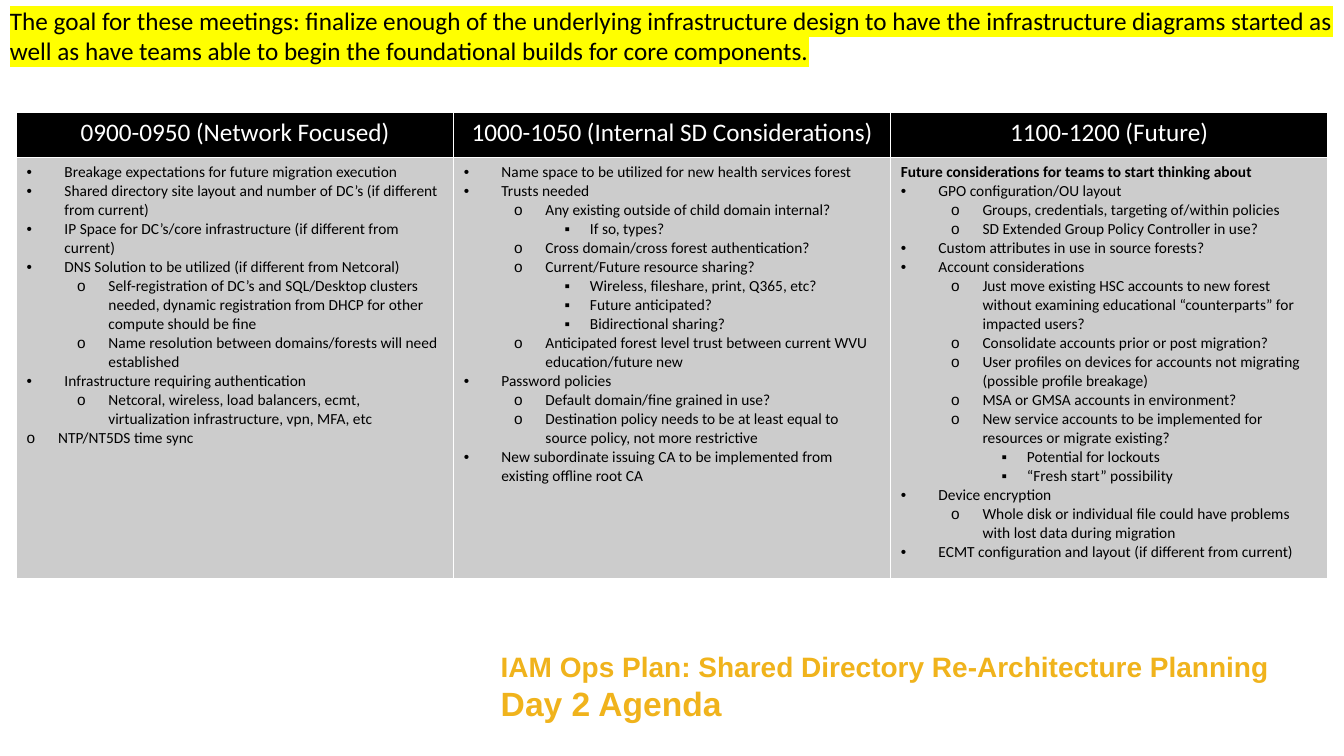
from lxml.etree import SubElement
from pptx import Presentation
from pptx.dml.color import RGBColor
from pptx.enum.text import MSO_ANCHOR, PP_ALIGN
from pptx.oxml.ns import qn
from pptx.util import Cm, Pt

GOAL = ("The goal for these meetings: finalize enough of the underlying infrastructure design "
        "to have the infrastructure diagrams started as well as have teams able to begin the "
        "foundational builds for core components.")
TITLE = [("IAM Ops Plan: Shared Directory Re-Architecture Planning", 20),
         ("Day 2 Agenda", 24)]

BULLETS = {
    "main": (0, 0.95, 0.95, "•"),
    "sub": (1, 2.06, 0.79, "o"),
    "detail": (2, 3.18, 0.64, "▪"),
    "loose": (0, 0.79, 0.79, "o"),
}

SESSIONS = [
    ("0900-0950 (Network Focused)", [
        ("main", "Breakage expectations for future migration execution"),
        ("main", "Shared directory site layout and number of DC’s (if different from current)"),
        ("main", "IP Space for DC’s/core infrastructure (if different from current)"),
        ("main", "DNS Solution to be utilized (if different from Netcoral)"),
        ("sub", "Self-registration of DC’s and SQL/Desktop clusters needed, dynamic "
                "registration from DHCP for other compute should be fine"),
        ("sub", "Name resolution between domains/forests will need established"),
        ("main", "Infrastructure requiring authentication"),
        ("sub", "Netcoral, wireless, load balancers, ecmt, virtualization infrastructure, "
                "vpn, MFA, etc"),
        ("loose", "NTP/NT5DS time sync"),
    ]),
    ("1000-1050 (Internal SD Considerations)", [
        ("main", "Name space to be utilized for new health services forest"),
        ("main", "Trusts needed"),
        ("sub", "Any existing outside of child domain internal?"),
        ("detail", "If so, types?"),
        ("sub", "Cross domain/cross forest authentication?"),
        ("sub", "Current/Future resource sharing?"),
        ("detail", "Wireless, fileshare, print, Q365, etc?"),
        ("detail", "Future anticipated?"),
        ("detail", "Bidirectional sharing?"),
        ("sub", "Anticipated forest level trust between current WVU education/future new"),
        ("main", "Password policies"),
        ("sub", "Default domain/fine grained in use?"),
        ("sub", "Destination policy needs to be at least equal to source policy, "
                "not more restrictive"),
        ("main", "New subordinate issuing CA to be implemented from existing offline root CA"),
    ]),
    ("1100-1200 (Future)", [
        ("heading", "Future considerations for teams to start thinking about"),
        ("main", "GPO configuration/OU layout"),
        ("sub", "Groups, credentials, targeting of/within policies"),
        ("sub", "SD Extended Group Policy Controller in use?"),
        ("main", "Custom attributes in use in source forests?"),
        ("main", "Account considerations"),
        ("sub", "Just move existing HSC accounts to new forest without examining educational "
                "“counterparts” for impacted users?"),
        ("sub", "Consolidate accounts prior or post migration?"),
        ("sub", "User profiles on devices for accounts not migrating "
                "(possible profile breakage)"),
        ("sub", "MSA or GMSA accounts in environment?"),
        ("sub", "New service accounts to be implemented for resources or migrate existing?"),
        ("detail", "Potential for lockouts"),
        ("detail", "“Fresh start” possibility"),
        ("main", "Device encryption"),
        ("sub", "Whole disk or individual file could have problems with lost data "
                "during migration"),
        ("main", "ECMT configuration and layout (if different from current)"),
    ]),
]


def rgb(color):
    return RGBColor.from_string(color)


def add_solid(parent, color):
    SubElement(SubElement(parent, qn("a:solidFill")), qn("a:srgbClr"), val=color)


def write(p, text, size, color, font="Calibri", bold=False):
    p.text = text
    r = p.runs[0]
    r.font.size = Pt(size)
    r.font.name = font
    r.font.bold = bold
    r.font.color.rgb = rgb(color)
    return r


def set_bullet(p, kind):
    level, left, hanging, char = BULLETS[kind]
    p.level = level
    pPr = p._p.get_or_add_pPr()
    pPr.set("marL", str(Cm(left)))
    pPr.set("indent", str(-Cm(hanging)))
    SubElement(pPr, qn("a:buFont"), typeface="Arial")
    SubElement(pPr, qn("a:buChar"), char=char)


def set_cell(cell, fill):
    tcPr = cell._tc.get_or_add_tcPr()
    for side in ("lnL", "lnR", "lnT", "lnB"):
        add_solid(SubElement(tcPr, qn("a:" + side), w=str(Pt(1))), "FFFFFF")
    cell.fill.solid()
    cell.fill.fore_color.rgb = rgb(fill)


def add_textbox(s, left, top, width, height):
    tf = s.shapes.add_textbox(left, top, width, height).text_frame
    tf.word_wrap = True
    return tf


def add_goal(s, left, top, width, height):
    tf = add_textbox(s, left, top, width, height)
    r = write(tf.paragraphs[0], GOAL, 18, "000000")
    rPr = r._r.get_or_add_rPr()
    highlight = SubElement(rPr, qn("a:highlight"))
    SubElement(highlight, qn("a:srgbClr"), val="FFFF00")
    rPr.find(qn("a:latin")).addprevious(highlight)


def add_title(s, left, top, width, height):
    tf = add_textbox(s, left, top, width, height)
    for i, (text, size) in enumerate(TITLE):
        p = tf.add_paragraph() if i else tf.paragraphs[0]
        r = write(p, text, size, "F0B31C", "Arial", True)
        rPr = r._r.get_or_add_rPr()
        outline = SubElement(rPr, qn("a:ln"), w=str(Pt(0.75)))
        add_solid(outline, "000000")
        rPr.insert(0, outline)


def add_agenda(s, left, top, width, height):
    header_height = Cm(1.14)
    table = s.shapes.add_table(2, len(SESSIONS), left, top, width, height).table
    table.rows[0].height = header_height
    table.rows[1].height = height - header_height
    for col, (heading, items) in enumerate(SESSIONS):
        header, body = table.cell(0, col), table.cell(1, col)
        set_cell(header, "000000")
        set_cell(body, "CCCCCC")
        header.vertical_anchor = MSO_ANCHOR.TOP
        p = header.text_frame.paragraphs[0]
        p.alignment = PP_ALIGN.CENTER
        write(p, heading, 18, "FFFFFF")
        tf = body.text_frame
        for i, (kind, text) in enumerate(items):
            p = tf.add_paragraph() if i else tf.paragraphs[0]
            if kind in BULLETS:
                set_bullet(p, kind)
            write(p, text, 11, "000000", bold=kind == "heading")


def main():
    prs = Presentation()
    prs.slide_width, prs.slide_height = Cm(33.87), Cm(19.05)
    s = prs.slides.add_slide(prs.slide_layouts[6])
    add_title(s, Cm(12.37), Cm(16.23), Cm(20.96), Cm(2.13))
    add_goal(s, Cm(0), Cm(0), prs.slide_width, Cm(1.8))
    add_agenda(s, Cm(0.42), Cm(2.83), Cm(33.04), Cm(11.76))
    prs.save("out.pptx")


if __name__ == "__main__":
    main()
